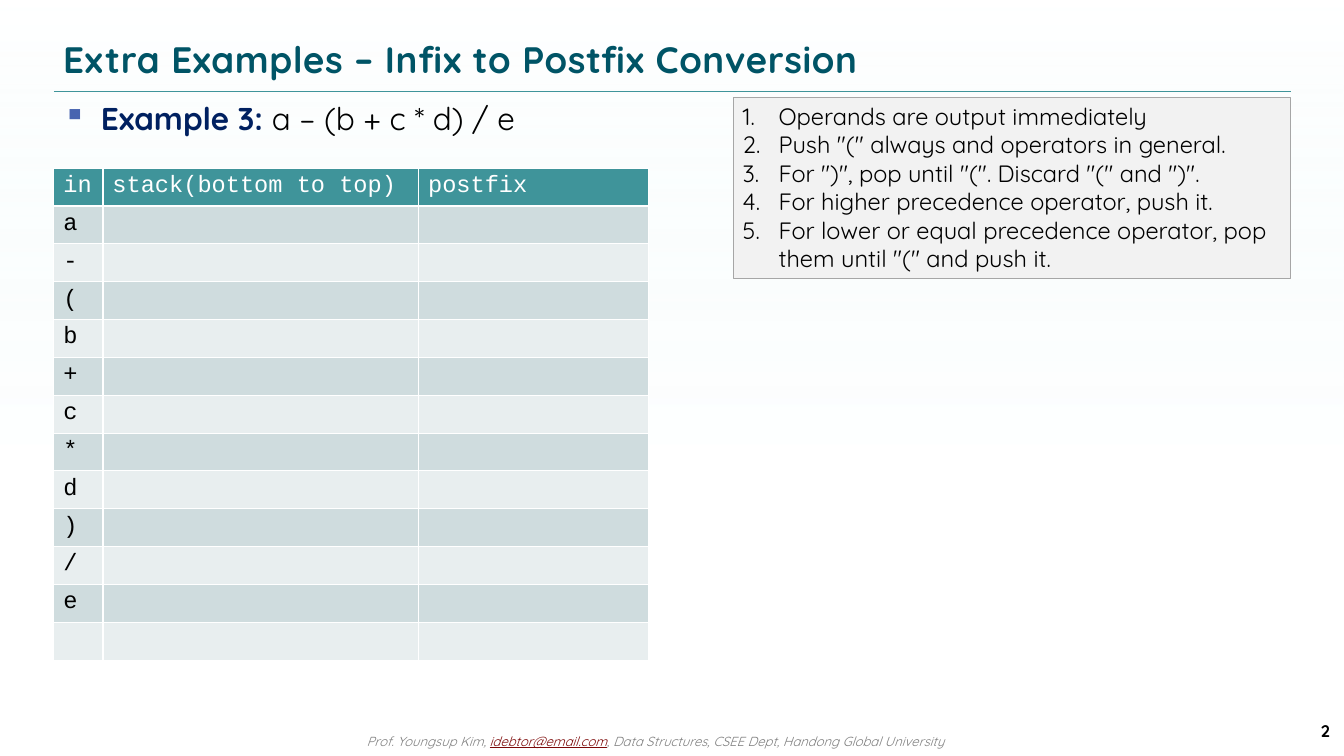
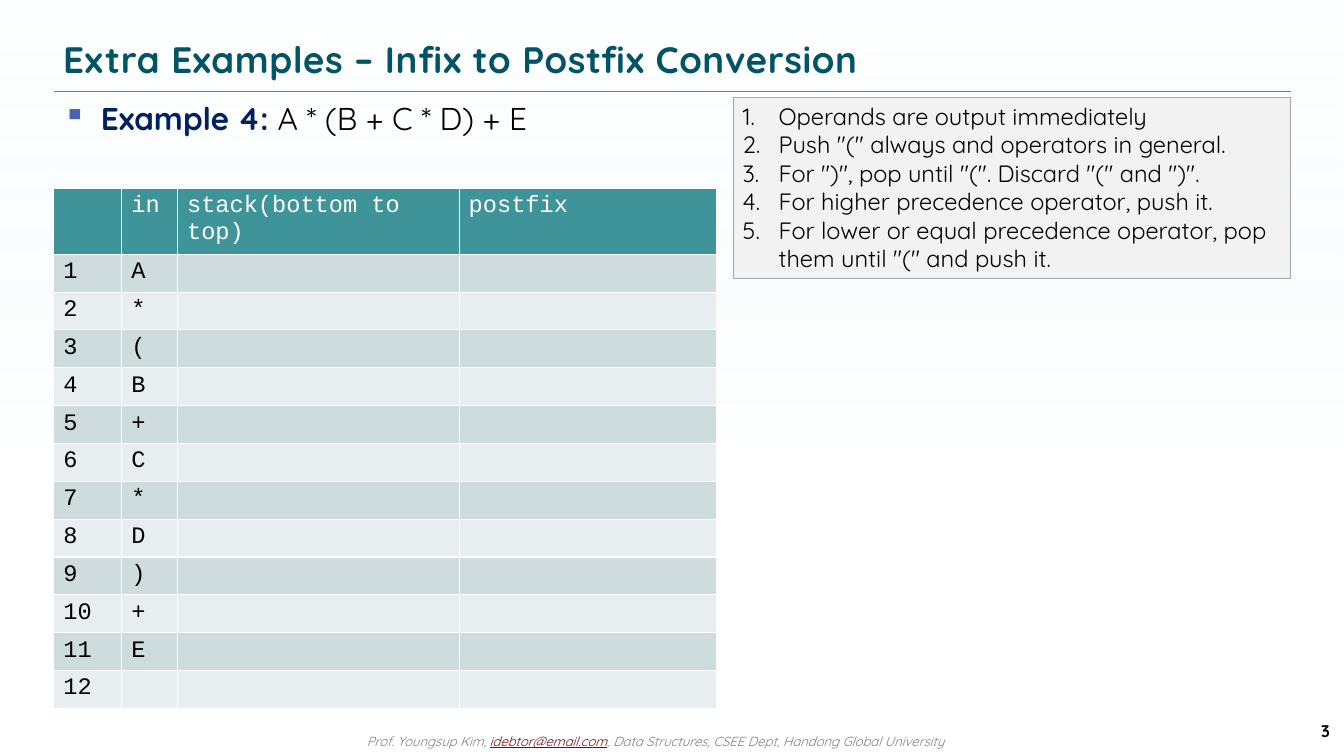
import pptx
import pptx.util
import pptx.dml.color
import pptx.enum.shapes
import pptx.enum.text
import pptx.oxml
import pptx.oxml.ns
from pptx.util import Inches

COLORS = {
    "sky": "D9F3F4", "white": "FFFFFF", "black": "000000",
    "teal": "3F949A", "title": "005466", "title_mid": "005061", "title_dark": "003E4B",
    "navy": "002060", "bullet": "4764B0", "footer": "808080", "mail": "7C0808",
    "band_dark": "CFDCDE", "band_light": "E8EEEF",
    "panel": "F2F2F2", "panel_edge": "A6A6A6",
}
SANS, MONO = "Quicksand", "Courier New"
TITLE = "Extra Examples – Infix to Postfix Conversion"
RULES = [
    "Operands are output immediately",
    'Push "(" always and operators in general.',
    'For ")", pop until "(". Discard "(" and ")".',
    "For higher precedence operator, push it.",
    'For lower or equal precedence operator, pop them until "(" and push it.',
]
STACK_HEADINGS = ["in", "stack(bottom to top)", "postfix"]
LEFT, WIDTH, ROW_HEIGHT = 0.57, 13.09, 0.38


def rgb(name):
    return pptx.dml.color.RGBColor.from_string(COLORS[name])


def element(xml):
    namespace = pptx.oxml.ns.nsdecls("a")
    return pptx.oxml.parse_xml(xml.replace(">", f" {namespace}>", 1) if "/>" not in xml.split(">")[0] + ">"
                               else xml.replace("/>", f" {namespace}/>", 1))


def set_gradient(fill, owner, stops):
    fill.gradient()
    fill.gradient_angle = 270
    stop_list = owner.find(".//" + pptx.oxml.ns.qn("a:gsLst"))
    for old_stop in list(stop_list):
        stop_list.remove(old_stop)
    for percent, color, opacity in stops:
        stop_list.append(element(
            f'<a:gs pos="{percent * 1000}"><a:srgbClr val="{COLORS[color]}">'
            f'<a:alpha val="{opacity * 1000}"/></a:srgbClr></a:gs>'))


class Deck:
    def __init__(self):
        self.presentation = pptx.Presentation()
        self.presentation.slide_width = Inches(14.22)
        self.presentation.slide_height = Inches(8)
        self.slide = None

    def start_slide(self, number):
        self.slide = self.presentation.slides.add_slide(self.presentation.slide_layouts[6])
        self.backdrop()
        self.divider()
        footer = self.text_box(3.78, 7.71, 6.69, 0.25)
        self.run(footer, "Prof. Youngsup Kim, ", 10, "footer", italic=True)
        mail = self.run(footer, "idebtor@email.com", 10, "mail", italic=True)
        mail.font.underline = True
        self.run(footer, ", Data Structures, CSEE Dept, Handong Global University",
                 10, "footer", italic=True)
        self.title()
        page = self.text_box(12.92, 7.52, 1.25, 0.43, middle=True)
        page.alignment = pptx.enum.text.PP_ALIGN.RIGHT
        self.run(page, str(number), 12.8, "black", bold=True)

    def run(self, paragraph, text, size, color, font=SANS, bold=False, italic=False):
        run = paragraph.add_run()
        run.text = text
        run.font.size = pptx.util.Pt(size)
        run.font.name = font
        run.font.bold = bold
        run.font.italic = italic
        run.font.color.rgb = rgb(color)
        return run

    def text_box(self, left, top, width, height, middle=False):
        box = self.slide.shapes.add_textbox(Inches(left), Inches(top), Inches(width), Inches(height))
        box.text_frame.word_wrap = True
        if middle:
            box.text_frame.vertical_anchor = pptx.enum.text.MSO_ANCHOR.MIDDLE
        return box.text_frame.paragraphs[0]

    def rectangle(self, left, top, width, height):
        shape = self.slide.shapes.add_shape(
            pptx.enum.shapes.MSO_SHAPE.RECTANGLE,
            Inches(left), Inches(top), Inches(width), Inches(height))
        shape.shadow.inherit = False
        return shape

    def backdrop(self):
        shape = self.rectangle(0, 0, 14.22, 8)
        set_gradient(shape.fill, shape._element, [(0, "sky", 0), (61, "white", 40)])
        shape.line.fill.background()

    def divider(self):
        line = self.slide.shapes.add_connector(
            pptx.enum.shapes.MSO_CONNECTOR.STRAIGHT,
            Inches(LEFT), Inches(0.96), Inches(LEFT + WIDTH), Inches(0.96))
        line.line.color.rgb = rgb("teal")
        line.line.width = pptx.util.Pt(0.25)
        line._element.spPr.append(element("<a:effectLst/>"))

    def title(self):
        heading = self.text_box(LEFT, 0.32, WIDTH, 0.6, middle=True)
        run = self.run(heading, TITLE, 28, "title", bold=True)
        run._r.get_or_add_rPr().set("spc", "50")
        set_gradient(run.font.fill, run._r, [
            (0, "title", 100), (26, "title", 100), (41, "title_mid", 100),
            (67, "title_dark", 100), (95, "title", 100)])

    def bullet(self, paragraph, indent, *marks):
        properties = paragraph._p.get_or_add_pPr()
        properties.set("marL", str(Inches(indent)))
        properties.set("indent", str(-Inches(indent)))
        for mark in marks:
            properties.append(element(mark))

    def example(self, label, expression):
        paragraph = self.text_box(LEFT, 1, WIDTH, 6.42)
        self.bullet(paragraph, 0.4,
                    f'<a:buClr><a:srgbClr val="{COLORS["bullet"]}"/></a:buClr>',
                    '<a:buChar char="▪"/>')
        self.run(paragraph, label, 24, "navy", bold=True)
        self.run(paragraph, expression, 24, "black")

    def rules(self):
        panel = self.rectangle(7.76, 1.03, 5.9, 1.92)
        panel.fill.solid()
        panel.fill.fore_color.rgb = rgb("panel")
        panel.line.color.rgb = rgb("panel_edge")
        panel.line.width = pptx.util.Pt(0.75)
        frame = panel.text_frame
        frame.word_wrap = True
        frame.auto_size = pptx.enum.text.MSO_AUTO_SIZE.SHAPE_TO_FIT_TEXT
        frame.vertical_anchor = pptx.enum.text.MSO_ANCHOR.TOP
        for index, rule in enumerate(RULES):
            paragraph = frame.add_paragraph() if index else frame.paragraphs[0]
            paragraph.alignment = pptx.enum.text.PP_ALIGN.LEFT
            self.bullet(paragraph, 0.38, '<a:buFont typeface="+mj-lt"/>',
                        '<a:buAutoNum type="arabicPeriod"/>')
            self.run(paragraph, rule, 18, "black")

    def trace_table(self, top, widths, rows):
        table = self.slide.shapes.add_table(
            len(rows), len(widths), Inches(LEFT), Inches(top),
            Inches(sum(widths)), Inches(ROW_HEIGHT * len(rows))).table
        for column, width in zip(table.columns, widths):
            column.width = Inches(width)
        for row_index, values in enumerate(rows):
            table.rows[row_index].height = Inches(ROW_HEIGHT)
            band = "band_dark" if row_index % 2 else "band_light"
            fill, ink = (band, "black") if row_index else ("teal", "white")
            for column_index, value in enumerate(values):
                self.cell(table.cell(row_index, column_index), value, fill, ink)

    def cell(self, cell, value, fill, ink):
        if value:
            self.run(cell.text_frame.paragraphs[0], value, 18, ink, font=MONO)
        properties = cell._tc.get_or_add_tcPr()
        for side in ("lnL", "lnR", "lnT", "lnB"):
            properties.append(element(
                f'<a:{side} w="12700"><a:solidFill><a:srgbClr val="{COLORS["white"]}"/>'
                f'</a:solidFill></a:{side}>'))
        cell.fill.solid()
        cell.fill.fore_color.rgb = rgb(fill)


def main():
    deck = Deck()

    deck.start_slide(2)
    deck.example("Example 3: ", "a – (b + c * d) / e")
    steps = [[token, "", ""] for token in [*"a-(b+c*d)/e", ""]]
    deck.trace_table(1.78, [0.52, 3.34, 2.43], [STACK_HEADINGS] + steps)
    deck.rules()

    deck.start_slide(3)
    deck.example("Example 4: ", "A * (B + C * D) + E")
    steps = [[str(step), token, "", ""]
             for step, token in enumerate([*"A*(B+C*D)+E", ""], 1)]
    deck.trace_table(1.99, [0.72, 0.59, 2.98, 2.72], [["", *STACK_HEADINGS]] + steps)
    deck.rules()

    deck.presentation.save("out.pptx")


if __name__ == "__main__":
    main()
